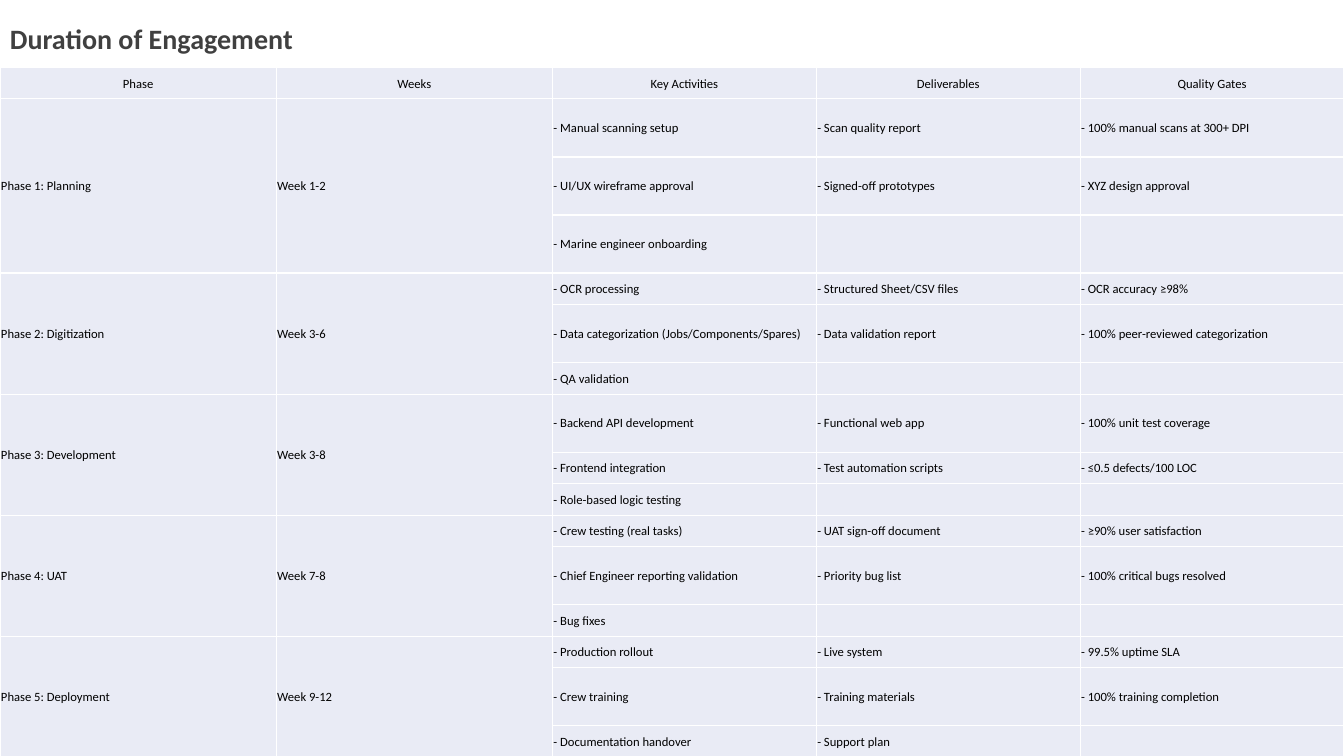
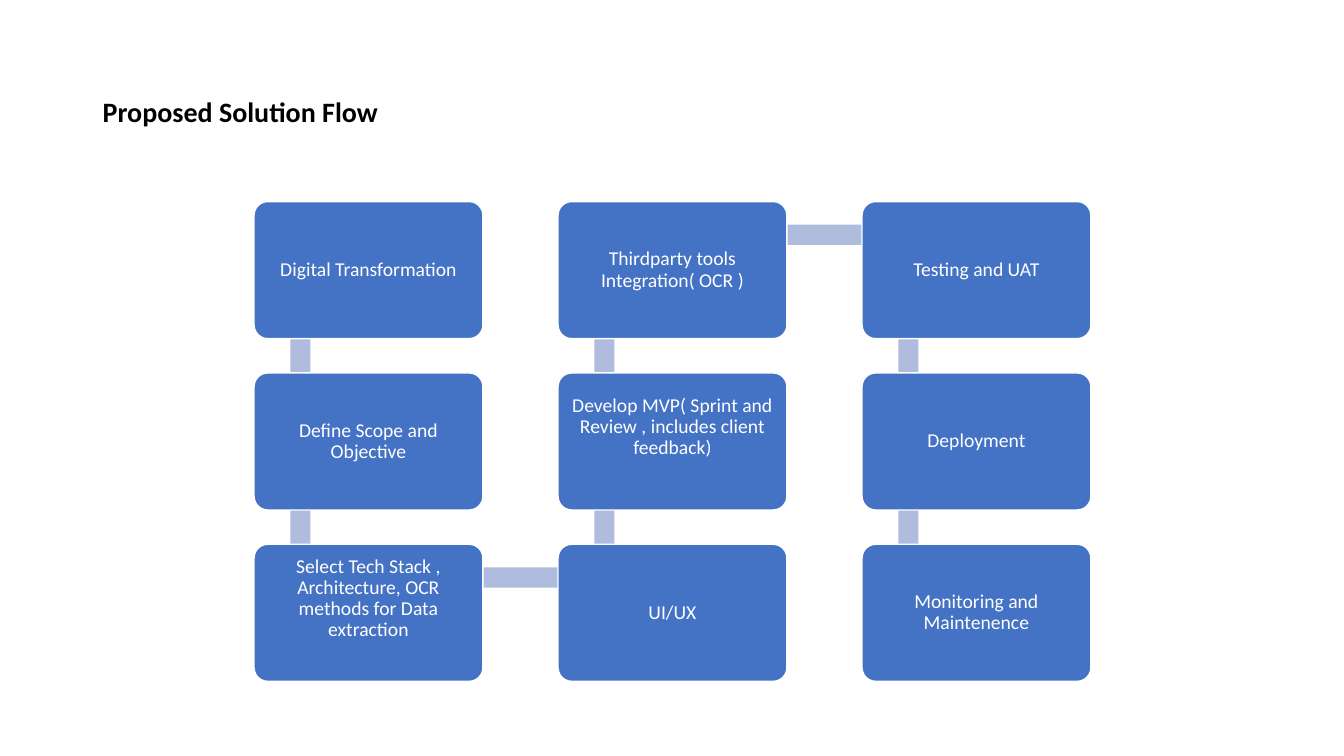
from pptx import Presentation
from pptx.dml import color
from pptx.enum import shapes, text
from pptx.oxml import parse_xml
from pptx.oxml import ns
from pptx.util import Inches, Pt

FONT = "Calibri"
BLACK, GREY, WHITE = "000000", "404040", "FFFFFF"
CELL_FILL, CARD_FILL, LINK_FILL = "E9EBF5", "4472C4", "B0BCDE"
WIDTH, HEIGHT = 13.33, 7.5

HEADINGS = ["Phase", "Weeks", "Key Activities", "Deliverables", "Quality Gates"]
# Each phase: name, weeks, then its rows as (is tall, texts)
PHASES = [
    ("Phase 1: Planning", "Week 1-2", [
        (True, ["Manual scanning setup", "Scan quality report",
                "100% manual scans at 300+ DPI"]),
        (True, ["UI/UX wireframe approval", "Signed-off prototypes",
                "XYZ design approval"]),
        (True, ["Marine engineer onboarding"])]),
    ("Phase 2: Digitization", "Week 3-6", [
        (False, ["OCR processing", "Structured Sheet/CSV files",
                 "OCR accuracy ≥98%"]),
        (True, ["Data categorization (Jobs/Components/Spares)",
                "Data validation report", "100% peer-reviewed categorization"]),
        (False, ["QA validation"])]),
    ("Phase 3: Development", "Week 3-8", [
        (True, ["Backend API development", "Functional web app",
                "100% unit test coverage"]),
        (False, ["Frontend integration", "Test automation scripts",
                 "≤0.5 defects/100 LOC"]),
        (False, ["Role-based logic testing"])]),
    ("Phase 4: UAT", "Week 7-8", [
        (False, ["Crew testing (real tasks)", "UAT sign-off document",
                 "≥90% user satisfaction"]),
        (True, ["Chief Engineer reporting validation", "Priority bug list",
                "100% critical bugs resolved"]),
        (False, ["Bug fixes"])]),
    ("Phase 5: Deployment", "Week 9-12", [
        (False, ["Production rollout", "Live system", "99.5% uptime SLA"]),
        (True, ["Crew training", "Training materials",
                "100% training completion"]),
        (False, ["Documentation handover", "Support plan"])]),
]

# Steps in flow order: text, column, row, extra space under the text
STEPS = [
    ("Digital Transformation", 0, 0, 0),
    ("Define Scope and Objective", 0, 1, 0),
    ("Select Tech Stack , Architecture, OCR methods for Data extraction", 0, 2, 0.28),
    ("UI/UX", 1, 2, 0),
    ("Develop MVP( Sprint and Review , includes client feedback)", 1, 1, 0.28),
    ("Thirdparty tools Integration( OCR )", 1, 0, 0),
    ("Testing and UAT", 2, 0, 0),
    ("Deployment", 2, 1, 0),
    ("Monitoring and Maintenence", 2, 2, 0),
]


def rgb(value):
    return color.RGBColor.from_string(value)


def add_span(para, words, size, tint, bold=False):
    span = para.add_run()
    span.text = words
    span.font.name = FONT
    span.font.size = Pt(size)
    span.font.bold = bold
    span.font.color.rgb = rgb(tint)


def add_title(page, words, left, top, width, height, tint, anchor, spacing):
    box = page.shapes.add_textbox(*map(Inches, (left, top, width, height)))
    frame = box.text_frame
    frame.word_wrap = True
    frame.vertical_anchor = anchor
    para = frame.paragraphs[0]
    para.line_spacing = spacing
    add_span(para, words, 20, tint, bold=True)


def add_block(page, kind, left, top, width, height, fill):
    block = page.shapes.add_shape(kind, *map(Inches, (left, top, width, height)))
    block.shadow.inherit = False
    block.fill.solid()
    block.fill.fore_color.rgb = rgb(fill)
    block.line.fill.background()
    return block


def style_cell(cell):
    """Fill, insets and white borders of one table cell."""
    cell.margin_left = cell.margin_right = cell.margin_top = Inches(0.01)
    cell.margin_bottom = 0
    cell.vertical_anchor = text.MSO_ANCHOR.MIDDLE
    cell.fill.solid()
    cell.fill.fore_color.rgb = rgb(CELL_FILL)
    props = cell._tc.get_or_add_tcPr()
    for place, side in enumerate(("lnL", "lnR", "lnT", "lnB")):
        props.insert(place, parse_xml(
            f'<a:{side} {ns.nsdecls("a")} w="{Pt(1)}"><a:solidFill>'
            f'<a:srgbClr val="{WHITE}"/></a:solidFill></a:{side}>'))


def add_schedule(page, left, top, width, height):
    tall_flags = [False] + [tall for phase in PHASES for tall, _ in phase[2]]
    frame = page.shapes.add_table(len(tall_flags), len(HEADINGS),
                                  *map(Inches, (left, top, width, height)))
    table = frame.table
    table.first_row = table.horz_banding = False

    # Two label columns, the rest share what is left
    label_width = 2.74
    for index, column in enumerate(table.columns):
        column.width = Inches(label_width if index < 2 else (width - 2 * label_width) / 3)
    weights = [1.85 if tall else 1 for tall in tall_flags]
    for row, weight in zip(table.rows, weights):
        row.height = Inches(height * weight / sum(weights))
    for cell in table.iter_cells():
        style_cell(cell)

    def write(row, column, words):
        para = table.cell(row, column).text_frame.paragraphs[0]
        if row == 0:
            para.alignment = text.PP_ALIGN.CENTER
        add_span(para, words, 9, BLACK)

    for column, heading in enumerate(HEADINGS):
        write(0, column, heading)
    row = 1
    for name, weeks, entries in PHASES:
        for column, label in enumerate((name, weeks)):
            table.cell(row, column).merge(table.cell(row + len(entries) - 1, column))
            write(row, column, label)
        for _, items in entries:
            for column, item in enumerate(items, start=2):
                write(row, column, f"- {item}")
            row += 1


def add_card(page, words, left, top, width, height, space_below):
    card = add_block(page, shapes.MSO_SHAPE.ROUNDED_RECTANGLE,
                     left, top, width, height, CARD_FILL)
    card.adjustments[0] = 0.1
    card.line.color.rgb = rgb(WHITE)
    card.line.width = Pt(1)
    frame = card.text_frame
    frame.word_wrap = True
    frame.vertical_anchor = text.MSO_ANCHOR.MIDDLE
    frame.margin_left = frame.margin_right = frame.margin_top = Inches(0.1)
    frame.margin_bottom = Inches(0.1 + space_below)
    para = frame.paragraphs[0]
    para.alignment = text.PP_ALIGN.CENTER
    para.line_spacing = 0.9
    add_span(para, words, 14, WHITE)


def add_flow(page, left, top, width, height):
    card_width, card_height, bar = 2.27, 1.36, 0.2
    step_x, step_y = (width - card_width) / 2, (height - card_height) / 2
    corners = [(left + column * step_x, top + row * step_y)
               for _, column, row, _ in STEPS]

    # Bars run from joint to joint, behind the cards
    joints = [(x + 0.46, y + 0.33) for x, y in corners]
    for (x1, y1), (x2, y2) in zip(joints, joints[1:]):
        if x1 == x2:
            area = (x1 - bar / 2, min(y1, y2), bar, abs(y2 - y1))
        else:
            area = (x1, y1 - bar / 2, x2 - x1, bar)
        add_block(page, shapes.MSO_SHAPE.RECTANGLE, *area, LINK_FILL)

    for (words, _, _, space_below), (x, y) in zip(STEPS, corners):
        add_card(page, words, x, y, card_width, card_height, space_below)


def main():
    deck = Presentation()
    deck.slide_width, deck.slide_height = Inches(WIDTH), Inches(HEIGHT)
    blank = deck.slide_layouts[6]

    # Schedule
    page = deck.slides.add_slide(blank)
    add_schedule(page, 0, 0.67, WIDTH, HEIGHT - 0.67)
    add_title(page, "Duration of Engagement", 0, 0.16, 8.18, 0.77,
              GREY, text.MSO_ANCHOR.TOP, 1.0)

    # Solution flow
    page = deck.slides.add_slide(blank)
    add_title(page, "Proposed Solution Flow", 0.92, 0.4, 11.5, 1.45,
              BLACK, text.MSO_ANCHOR.MIDDLE, 0.9)
    add_flow(page, 2.52, 2, 8.3, 4.76)

    deck.save("out.pptx")


if __name__ == "__main__":
    main()
